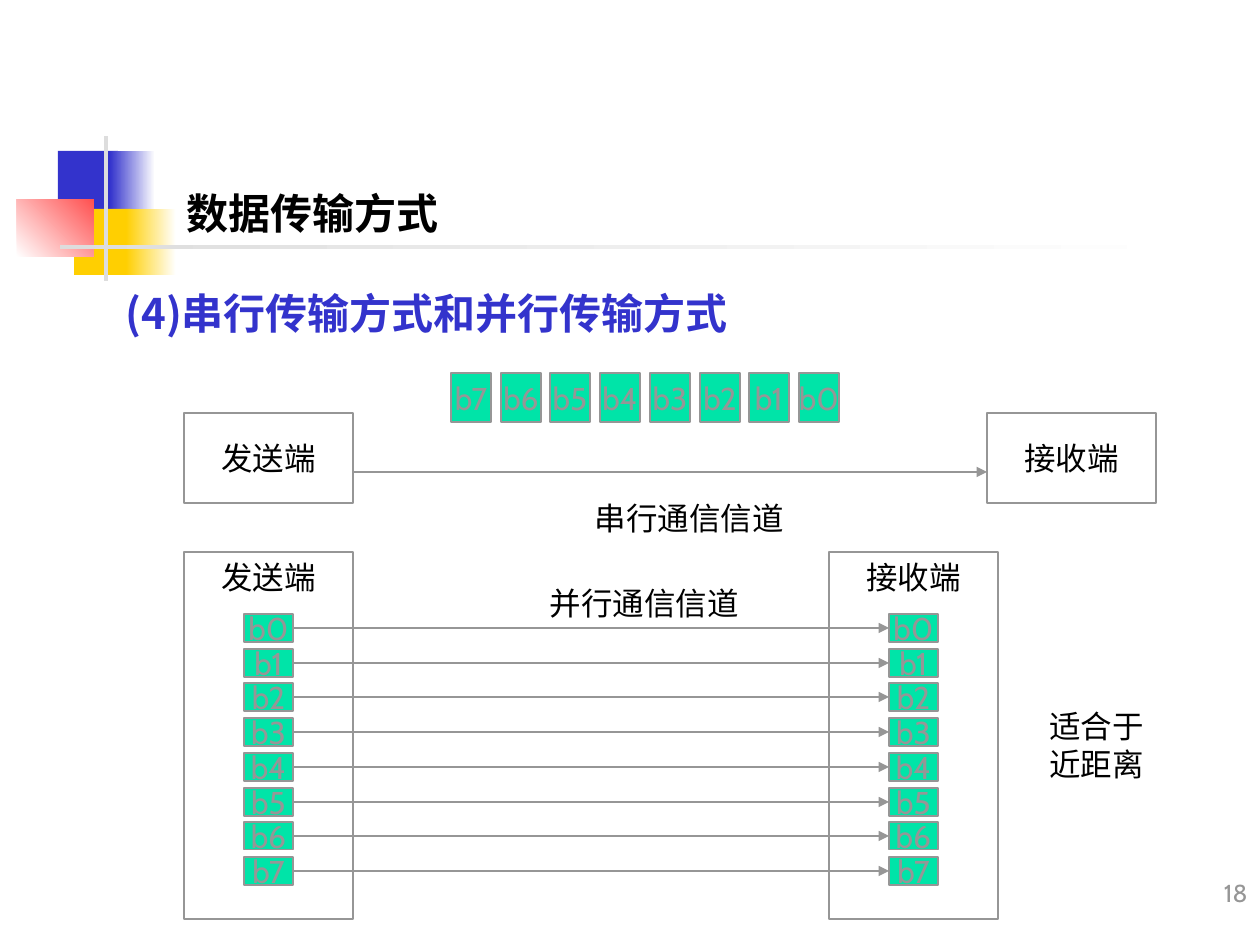
from dataclasses import dataclass

from lxml.etree import SubElement
from pptx import Presentation
from pptx.dml.color import RGBColor
from pptx.enum.shapes import MSO_CONNECTOR, MSO_SHAPE
from pptx.enum.text import MSO_ANCHOR, MSO_AUTO_SIZE, PP_ALIGN
from pptx.oxml.ns import qn
from pptx.util import Emu, Pt


@dataclass(frozen=True)
class Theme:
    """Colours, fonts and type sizes of the slide."""
    blue: str = "3333CC"
    yellow: str = "FFCF01"
    red: str = "FF5050"
    rule: str = "DDDDDD"
    white: str = "FFFFFF"
    ink: str = "000000"
    grey: str = "969696"
    green: str = "00E4A8"
    title_font: str = "Arial"
    heading_font: str = "Noto Sans CJK SC"
    body_font: str = "Cabin"
    heading_size: int = 24
    body_size: int = 18
    number_size: int = 14
    line_width: float = 0.75


THEME = Theme()
BITS = [f"b{i}" for i in range(8)]


def px(length):
    """Convert pixels at 126 to the inch into EMU."""
    return Emu(round(length * 914400 / 126))


def emu_box(box):
    """Convert a (left, top, width, height) pixel box into EMU."""
    return [px(length) for length in box]


def write(frame, text, size=THEME.body_size, color=THEME.ink, font=THEME.body_font,
          bold=False, align=PP_ALIGN.CENTER, anchor=MSO_ANCHOR.MIDDLE, wrap=True):
    """Fill a text frame and format every run."""
    frame.text = text
    frame.word_wrap = wrap
    frame.vertical_anchor = anchor
    for paragraph in frame.paragraphs:
        paragraph.alignment = align
        for run in paragraph.runs:
            run.font.size = Pt(size)
            run.font.bold = bold
            run.font.color.rgb = RGBColor.from_string(color)
            run.font.name = font
            SubElement(run.font._element, qn("a:ea")).set("typeface", font)


def add_block(shapes, box, fill=None, fade=None, angle=0, line=None):
    """Add a rectangle with a plain, fading or empty fill."""
    block = shapes.add_shape(MSO_SHAPE.RECTANGLE, *emu_box(box))
    block.shadow.inherit = False
    if fade:
        block.fill.gradient()
        block.fill.gradient_angle = angle
        for stop, color in zip(block.fill.gradient_stops, (fill, fade)):
            stop.color.rgb = RGBColor.from_string(color)
    elif fill:
        block.fill.solid()
        block.fill.fore_color.rgb = RGBColor.from_string(fill)
    else:
        block.fill.background()
    if line:
        block.line.color.rgb = RGBColor.from_string(line)
        block.line.width = Pt(THEME.line_width)
    else:
        block.line.fill.background()
    return block


def add_station(shapes, box, name, anchor=MSO_ANCHOR.MIDDLE):
    """Add an outlined sender or receiver."""
    station = add_block(shapes, box, line=THEME.grey)
    write(station.text_frame, name, anchor=anchor, wrap=False)


def add_bit(shapes, box, bit):
    """Add one green bit cell."""
    cell = add_block(shapes, box, THEME.green, line=THEME.grey)
    write(cell.text_frame, bit, color=THEME.grey, wrap=False)


def add_channel(shapes, start, end, y):
    """Add a horizontal arrow from sender to receiver."""
    channel = shapes.add_connector(MSO_CONNECTOR.STRAIGHT, px(start), px(y), px(end), px(y))
    channel.line.color.rgb = RGBColor.from_string(THEME.grey)
    channel.line.width = Pt(THEME.line_width)
    SubElement(channel.line._get_or_add_ln(), qn("a:tailEnd")).set("type", "triangle")
    SubElement(channel._element.spPr, qn("a:effectLst"))


def add_label(shapes, box, text, grow=True, **style):
    """Add a wrapping text box."""
    label = shapes.add_textbox(*emu_box(box))
    write(label.text_frame, text, **style)
    if grow:
        label.text_frame.auto_size = MSO_AUTO_SIZE.SHAPE_TO_FIT_TEXT


def add_ornament(shapes, box):
    """Place the coloured squares and the crossing rules."""
    left, top, width, _ = box
    add_block(shapes, (left + 41, top + 15, 60, 65), THEME.blue)
    add_block(shapes, (left + 93, top + 15, 45, 65), THEME.blue, THEME.white)
    add_block(shapes, (left + 57, top + 73, 58, 66), THEME.yellow)
    add_block(shapes, (left + 109, top + 73, 50, 66), THEME.yellow, THEME.white)
    add_block(shapes, (left, top + 63, 77, 58), THEME.white, THEME.red, 45)
    add_block(shapes, (left + 87, top, 4, 145), THEME.rule)
    add_block(shapes, (left + 43, top + 109, width - 43, 4), THEME.rule, THEME.white)


def add_headings(slide, box):
    """Place the title and the section heading below it."""
    left, top, width, height = box
    title = slide.shapes.title
    title.left, title.top, title.width, title.height = emu_box((left + 61, top, 824, 158))
    write(title.text_frame, "数据传输方式", THEME.heading_size, font=THEME.title_font,
          bold=True, align=PP_ALIGN.LEFT, anchor=MSO_ANCHOR.BOTTOM)
    add_label(slide.shapes, (left, top + height - 79, width, 79), "(4)串行传输方式和并行传输方式",
              grow=False, size=THEME.heading_size, color=THEME.blue, font=THEME.heading_font,
              bold=True, align=PP_ALIGN.LEFT, anchor=MSO_ANCHOR.BOTTOM)


def add_serial(shapes, box):
    """Place the serial link with its row of bits, last bit first."""
    left, top, width, height = box
    station_width, station_height = 169, 90
    station_top = top + 40
    receiver_left = left + width - station_width
    add_station(shapes, (left, station_top, station_width, station_height), "发送端")
    add_station(shapes, (receiver_left, station_top, station_width, station_height), "接收端")
    add_channel(shapes, left + station_width, receiver_left, top + 99)
    pitch = 348 / (len(BITS) - 1)
    for i, bit in enumerate(reversed(BITS)):
        add_bit(shapes, (left + 267 + round(i * pitch), top, 40, 49), bit)
    add_label(shapes, (left + 367, top + height - 50, 277, 50), "串行通信信道",
              anchor=MSO_ANCHOR.TOP)


def add_parallel(shapes, box):
    """Place the parallel link with one channel for each bit."""
    left, top, width, height = box
    station_width, bit_width, bit_height = 169, 49, 28
    inset = (station_width - bit_width) // 2
    receiver_left = left + width - station_width
    pitch = 243 / (len(BITS) - 1)
    bit_tops = [top + 62 + round(i * pitch) for i in range(len(BITS))]
    for station_left, name in ((left, "发送端"), (receiver_left, "接收端")):
        add_station(shapes, (station_left, top, station_width, height), name, MSO_ANCHOR.TOP)
        for bit, bit_top in zip(BITS, bit_tops):
            add_bit(shapes, (station_left + inset, bit_top, bit_width, bit_height), bit)
    for bit_top in bit_tops:
        add_channel(shapes, left + inset + bit_width, receiver_left + inset,
                    bit_top + bit_height // 2)
    add_label(shapes, (left + 317, top + 26, 287, 50), "并行通信信道", anchor=MSO_ANCHOR.TOP)


def main():
    """Build and save the slide."""
    deck = Presentation()
    deck.slide_width, deck.slide_height = px(1260), px(945)
    slide = deck.slides.add_slide(deck.slide_layouts[5])
    add_ornament(slide.shapes, (17, 136, 1177, 145))
    add_headings(slide, (113, 86, 1101, 258))
    add_label(slide.shapes, (998, 851, 262, 63), "18", grow=False, size=THEME.number_size,
              color=THEME.grey, align=PP_ALIGN.RIGHT, anchor=MSO_ANCHOR.BOTTOM)
    add_serial(slide.shapes.add_group_shape().shapes, (184, 373, 972, 170))
    add_parallel(slide.shapes.add_group_shape().shapes, (184, 552, 814, 367))
    add_label(slide.shapes, (1037, 701, 139, 88), "适合于\n近距离",
              align=PP_ALIGN.LEFT, anchor=MSO_ANCHOR.TOP)
    deck.save("out.pptx")


if __name__ == "__main__":
    main()
